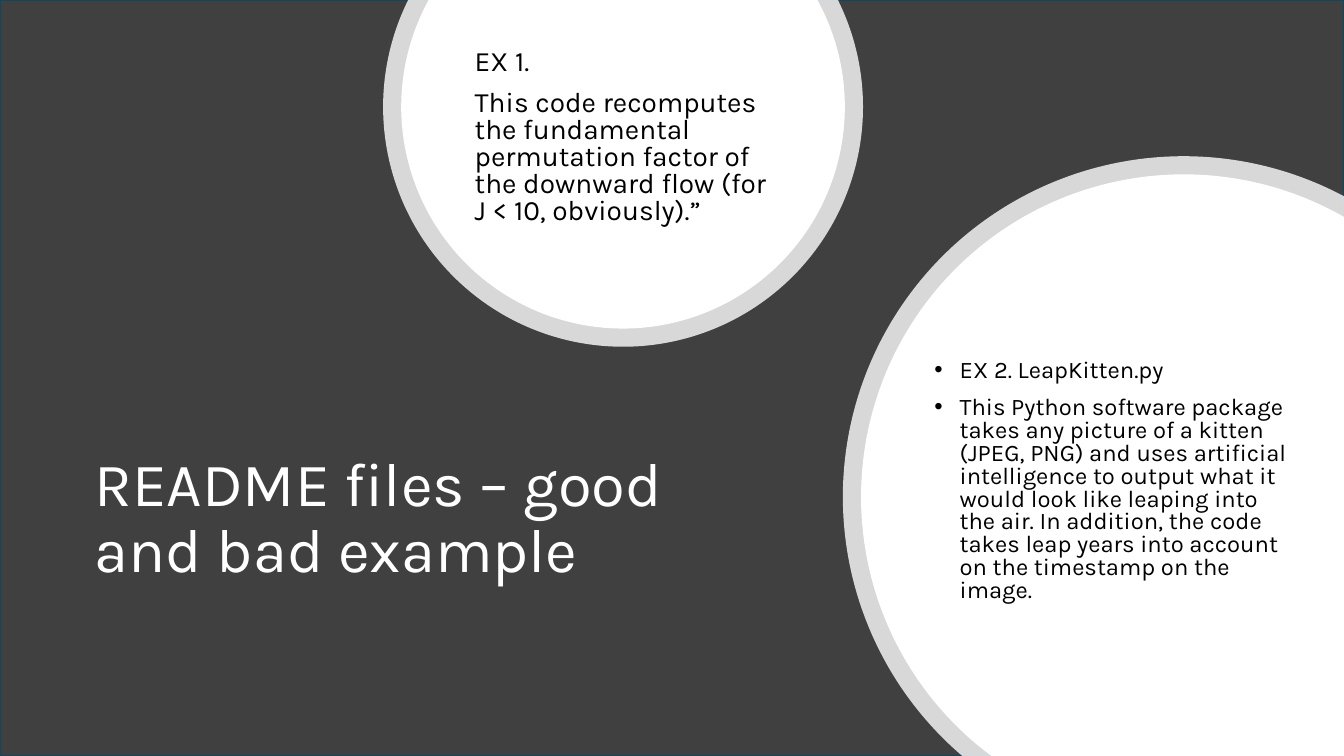
"""Build a slide showing a good and a bad README example in two clipped circles."""
import math
from dataclasses import dataclass

from lxml import etree
from pptx import Presentation
from pptx import util as u
from pptx.dml import color, fill
from pptx.enum import shapes, text
from pptx.oxml import ns
from pptx.slide import Slide

WIDTH, HEIGHT = 13.33, 7.5
FONT = "Karla"
RING = 0.18
COLORS = {"backdrop": "404040", "edge": "104760", "disc": "FFFFFF",
          "title": "FFFFFF", "example": "000000"}


@dataclass(frozen=True)
class Circle:
    x: float
    y: float
    radius: float

    def visible_arc(self, radius: float) -> tuple[float, float]:
        if self.y < radius:
            rise = math.asin(self.y / radius)
            return -rise, math.pi + rise
        start = math.pi - math.asin((HEIGHT - self.y) / radius)
        return start, math.tau - math.acos((WIDTH - self.x) / radius)


@dataclass(frozen=True)
class Passage:
    left: float
    top: float
    width: float
    height: float
    size: int
    ink: str
    paragraphs: tuple[str, ...]
    line_spacing: float = 0.8
    space_before: int = 10
    bulleted: bool = False
    bottom_inset: float = 0.05


CIRCLES = (Circle(6.18, 1.06, 2.38), Circle(11.74, 4.93, 3.38))
PASSAGES = (
    Passage(0.84, 3.83, 6.62, 2.65, 44, "title",
            ("README files – good and bad example",),
            line_spacing=0.9, space_before=0),
    Passage(4.61, 0.39, 3.15, 1.96, 20, "example",
            ("EX 1.",
             "This code recomputes the fundamental permutation factor of the "
             "downward flow (for J < 10, obviously).”")),
    Passage(9.17, 3.44, 3.8, 3.04, 17, "example",
            ("EX 2. LeapKitten.py",
             "This Python software package takes any picture of a kitten "
             "(JPEG, PNG) and uses artificial intelligence to output what it "
             "would look like leaping into the air. In addition, the code takes "
             "leap years into account on the timestamp on the image."),
            bulleted=True, bottom_inset=0.41),
)


def paint(surface: fill.FillFormat, name: str) -> None:
    surface.solid()
    surface.fore_color.rgb = color.RGBColor.from_string(COLORS[name])


def draw_backdrop(slide: Slide) -> None:
    backdrop = slide.shapes.add_shape(
        shapes.MSO_SHAPE.RECTANGLE, 0, 0, u.Inches(WIDTH), u.Inches(HEIGHT))
    backdrop.shadow.inherit = False
    paint(backdrop.fill, "backdrop")
    paint(backdrop.line.fill, "edge")
    backdrop.line.width = u.Pt(1.5)


def draw_disc(slide: Slide, circle: Circle, inset: float = 0, opacity: int = 100) -> None:
    radius = circle.radius - inset
    left, right = circle.x - radius, min(circle.x + radius, WIDTH)
    top, bottom = max(circle.y - radius, 0), min(circle.y + radius, HEIGHT)
    bounds = [(u.Inches(x), u.Inches(y)) for x, y in
              ((left, top), (right, top), (right, bottom), (left, bottom))]
    outline = slide.shapes.build_freeform(*bounds[0])
    outline.add_line_segments(bounds[1:], close=True)
    disc = outline.convert_to_shape()
    curve_outline(disc._element.find(".//" + ns.qn("a:path")),
                  circle, radius, left, top)
    disc.shadow.inherit = False
    disc.line.fill.background()
    paint(disc.fill, "disc")
    if opacity < 100:
        tint = disc.fill._xPr.find(".//" + ns.qn("a:srgbClr"))
        etree.SubElement(tint, ns.qn("a:alpha"), val=str(opacity * 1000))


def curve_outline(trace: etree._Element, circle: Circle, radius: float,
                  left: float, top: float) -> None:
    def add_point(tag: str, x: float, y: float) -> None:
        etree.SubElement(etree.SubElement(trace, ns.qn(tag)), ns.qn("a:pt"),
                         x=str(u.Inches(x - left)), y=str(u.Inches(y - top)))

    for segment in list(trace):
        trace.remove(segment)
    start, end = circle.visible_arc(radius)
    add_point("a:moveTo", circle.x + radius * math.cos(start),
              circle.y + radius * math.sin(start))
    etree.SubElement(trace, ns.qn("a:arcTo"),
                     wR=str(u.Inches(radius)), hR=str(u.Inches(radius)),
                     stAng=str(round(math.degrees(start % math.tau) * 60000)),
                     swAng=str(round(math.degrees(end - start) * 60000)))
    if circle.x + radius > WIDTH:
        add_point("a:lnTo", WIDTH, HEIGHT)
    etree.SubElement(trace, ns.qn("a:close"))


def write_passage(slide: Slide, passage: Passage) -> None:
    frame = slide.shapes.add_textbox(
        u.Inches(passage.left), u.Inches(passage.top),
        u.Inches(passage.width), u.Inches(passage.height)).text_frame
    frame.word_wrap = True
    frame.vertical_anchor = text.MSO_ANCHOR.MIDDLE
    frame.margin_bottom = u.Inches(passage.bottom_inset)
    for index, wording in enumerate(passage.paragraphs):
        paragraph = frame.add_paragraph() if index else frame.paragraphs[0]
        paragraph.line_spacing = passage.line_spacing
        paragraph.space_before = u.Pt(passage.space_before)
        if passage.bulleted:
            properties = paragraph._p.get_or_add_pPr()
            properties.set("marL", str(u.Inches(0.25)))
            properties.set("indent", str(-u.Inches(0.25)))
            etree.SubElement(properties, ns.qn("a:buFont"), typeface="Arial")
            etree.SubElement(properties, ns.qn("a:buChar"), char="•")
        run = paragraph.add_run()
        run.text = wording
        run.font.name = FONT
        run.font.size = u.Pt(passage.size)
        paint(run.font.fill, passage.ink)


def main() -> None:
    deck = Presentation()
    deck.slide_width, deck.slide_height = u.Inches(WIDTH), u.Inches(HEIGHT)
    slide = deck.slides.add_slide(deck.slide_layouts[6])
    draw_backdrop(slide)
    for circle in CIRCLES:
        draw_disc(slide, circle, opacity=80)
        draw_disc(slide, circle, inset=RING)
    for passage in PASSAGES:
        write_passage(slide, passage)
    deck.save("out.pptx")


if __name__ == "__main__":
    main()
